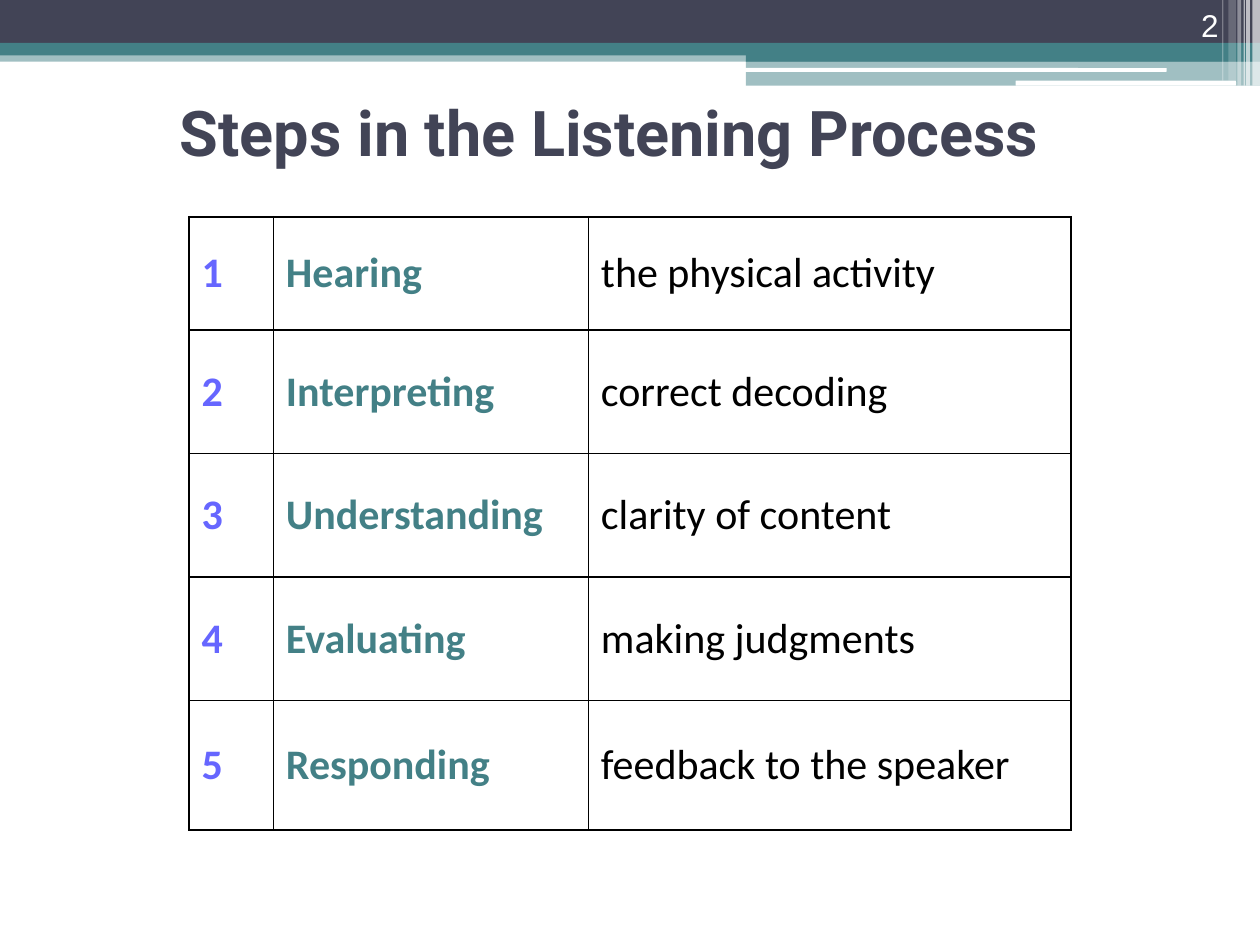
from lxml import etree
from pptx import Presentation
from pptx.dml.color import RGBColor
from pptx.enum.shapes import MSO_SHAPE
from pptx.enum.text import MSO_ANCHOR, PP_ALIGN
from pptx.oxml.ns import qn
from pptx.util import Inches, Pt

RECT, ROUND = MSO_SHAPE.RECTANGLE, MSO_SHAPE.ROUNDED_RECTANGLE
MIDDLE, BOTTOM = MSO_ANCHOR.MIDDLE, MSO_ANCHOR.BOTTOM
LEFT, RIGHT = PP_ALIGN.LEFT, PP_ALIGN.RIGHT
COLS, ROWS = 100, 75  # slide grid
THICK, THIN = 1.08, 0.45  # border widths in points

COLORS = {"dark": "424456", "teal": "438086", "white": "FFFFFF",
          "violet": "6666FF", "black": "000000"}


class Deck:
    def __init__(self):
        self.prs = Presentation()
        self.prs.slide_width, self.prs.slide_height = Inches(10), Inches(7.5)
        self.slide = self.prs.slides.add_slide(self.prs.slide_layouts[6])

    def across(self, cols):
        return round(self.prs.slide_width * cols / COLS)

    def down(self, rows):
        return round(self.prs.slide_height * rows / ROWS)

    def place(self, x, y, w, h):
        return self.across(x), self.down(y), self.across(w), self.down(h)

    def color(self, name):
        return RGBColor.from_string(COLORS[name])

    def bar(self, box, color, alpha=100, kind=RECT):
        shape = self.slide.shapes.add_shape(kind, *self.place(*box))
        shape.shadow.inherit = False
        shape.line.fill.background()
        shape.fill.solid()
        shape.fill.fore_color.rgb = self.color(color)
        if alpha < 100:
            tint = shape._element.spPr.find(".//" + qn("a:srgbClr"))
            etree.SubElement(tint, qn("a:alpha"), val=str(alpha * 1000))

    def add_run(self, frame, words, font, size, color, bold=False, align=LEFT):
        para = frame.paragraphs[0]
        para.alignment = align
        run = para.add_run()
        run.text = words
        run.font.name, run.font.size = font, Pt(size)
        run.font.bold = bold
        run.font.color.rgb = self.color(color)

    def text(self, box, words, anchor, *style, **more):
        frame = self.slide.shapes.add_textbox(*self.place(*box)).text_frame
        frame.word_wrap = True
        frame.vertical_anchor = anchor
        self.add_run(frame, words, *style, **more)

    def border(self, cell, widths):
        props = cell._tc.get_or_add_tcPr()
        for i, (side, width) in enumerate(zip("LRTB", widths)):
            line = etree.Element(qn("a:ln" + side), w=str(int(Pt(width))))
            fill = etree.SubElement(line, qn("a:solidFill"))
            etree.SubElement(fill, qn("a:srgbClr"), val=COLORS["black"])
            props.insert(i, line)

    def table(self, x, y, cols, rows, data, styles):
        box = self.place(x, y, sum(cols), sum(rows))
        table = self.slide.shapes.add_table(len(rows), len(cols), *box).table
        table.first_row = table.horz_banding = False
        for col, width in zip(table.columns, cols):
            col.width = self.across(width)
        for row, height in zip(table.rows, rows):
            row.height = self.down(height)
        last = len(cols) - 1
        for r, line in enumerate(data):
            for c, (words, (color, bold)) in enumerate(zip(line, styles)):
                cell = table.cell(r, c)
                cell.vertical_anchor = MIDDLE
                cell.fill.background()
                self.border(cell, (THIN if c else THICK,
                                   THICK if c == last else THIN, THICK, THICK))
                self.add_run(cell.text_frame, words, "Calibri", 24, color, bold)

    def save(self):
        self.prs.save("out.pptx")


def main():
    deck = Deck()

    # Header bands
    for box, color, alpha in [
        ((0, 4, 100, 0.9), "teal", 50),
        ((0, 0, 100, 3.4), "dark", 100),
        ((0, 3.4, 100, 1), "teal", 100),
        ((59.2, 3.9, 40.8, 1), "teal", 100),
        ((59.2, 4.8, 40.8, 2), "teal", 50),
    ]:
        deck.bar(box, color, alpha)

    # White streaks
    deck.bar((59.1, 5.4, 33.5, 0.3), "white", kind=ROUND)
    deck.bar((80.6, 6.4, 17.5, 0.4), "white", kind=ROUND)

    # Pale stripes at the right edge
    for x, w, h, alpha in [
        (99.4, 0.6, 6.8, 65), (98.9, 0.3, 6.8, 65), (98.7, 0.1, 6.8, 60),
        (98.2, 0.3, 6.8, 40), (97.5, 0.6, 6.4, 20), (97, 0.1, 6.4, 30),
    ]:
        deck.bar((x, 0, w, h), "white", alpha)

    # Title and page number
    deck.text((13.3, 4.2, 76.7, 12.5), "Steps in the Listening Process",
              MIDDLE, "Roboto", 36, "dark", bold=True)
    deck.text((89.4, 0, 8.3, 4), "2", BOTTOM, "Arial", 18, "white", align=RIGHT)

    # Listening steps
    steps = [("Hearing", "the physical activity"),
             ("Interpreting", "correct decoding"),
             ("Understanding", "clarity of content"),
             ("Evaluating", "making judgments"),
             ("Responding", "feedback to the speaker")]
    data = [(str(n), *step) for n, step in enumerate(steps, 1)]
    deck.table(15, 17.2, (6.7, 25, 38.3), (9, 9.8, 9.8, 9.8, 10.3), data,
               (("violet", True), ("teal", True), ("black", False)))

    deck.save()


if __name__ == "__main__":
    main()
